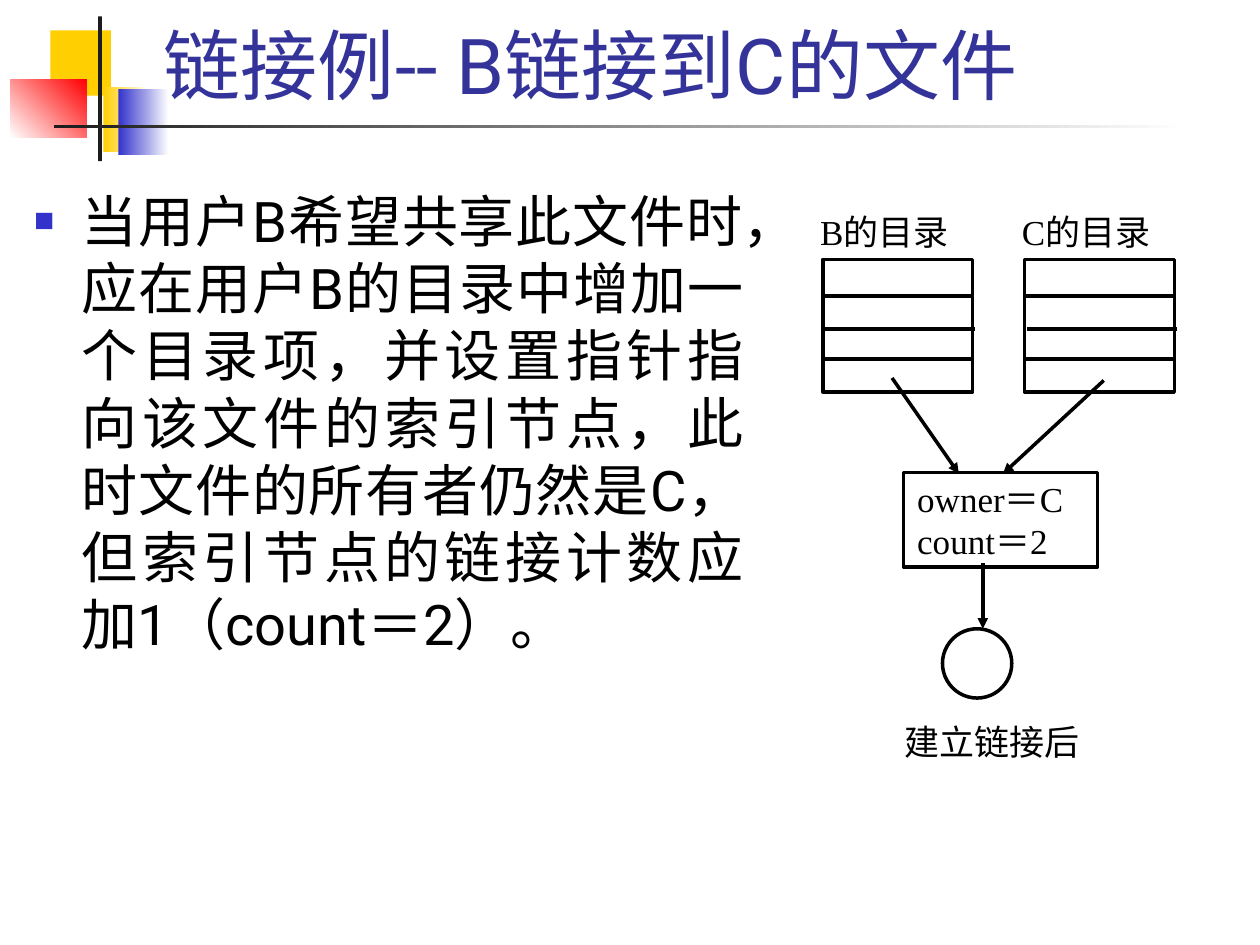
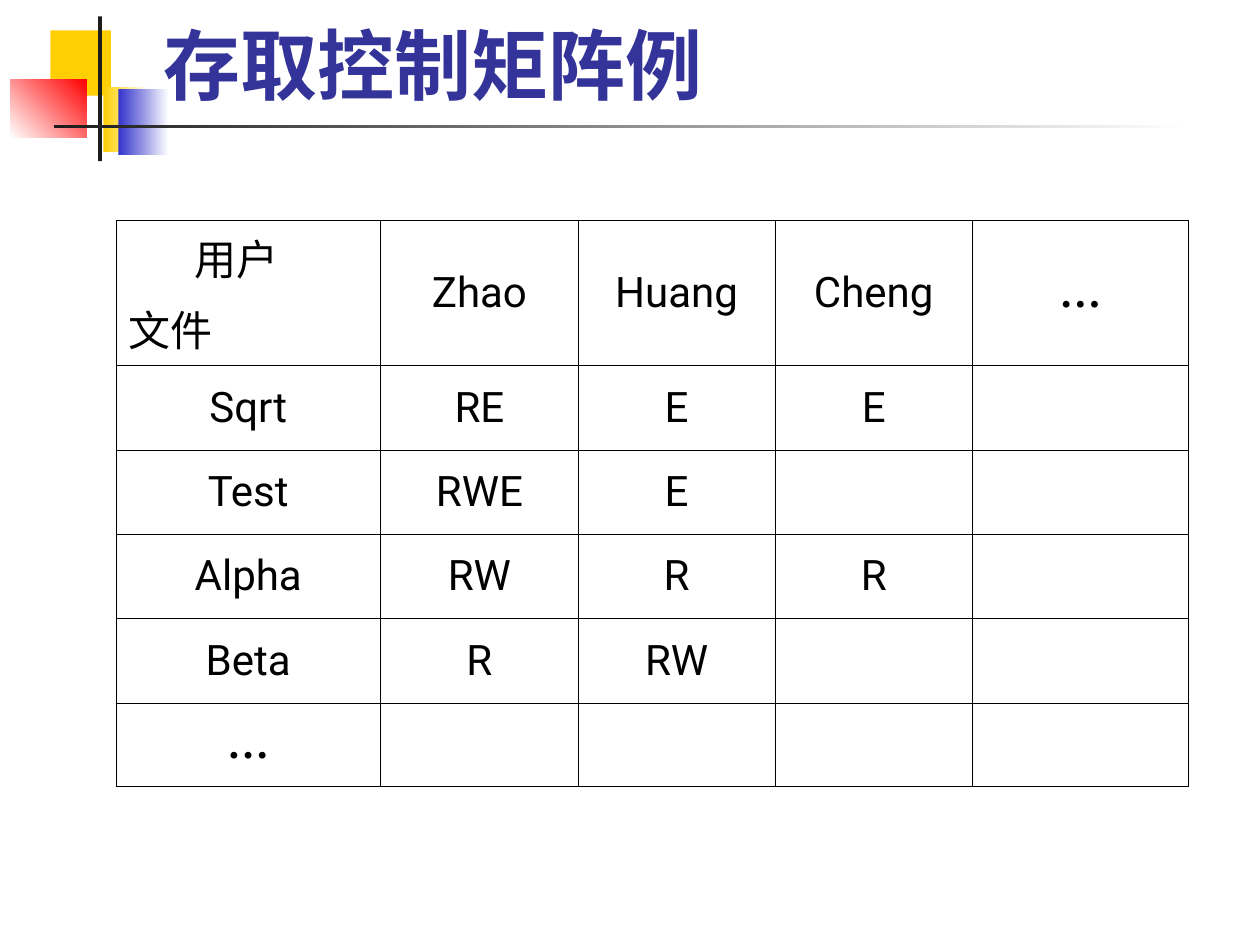
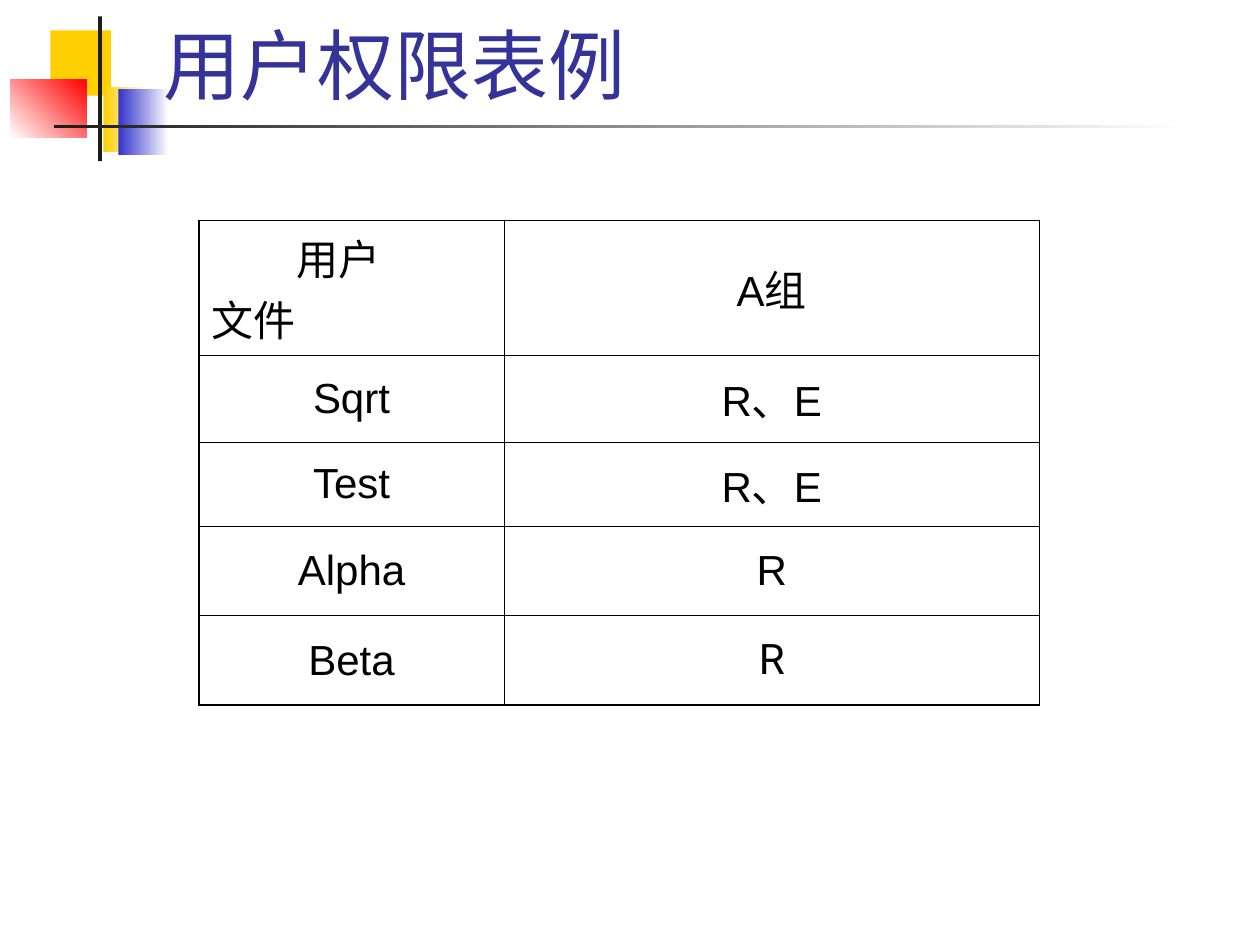
import lxml.etree
import pptx
import pptx.dml.color
import pptx.enum.shapes
import pptx.enum.text
import pptx.oxml.ns
import pptx.util

ALIGN = pptx.enum.text.PP_ALIGN
ANCHOR = pptx.enum.text.MSO_ANCHOR
SHAPE = pptx.enum.shapes.MSO_SHAPE
COLUMNS, ROWS = 10, 7.5
CELL = pptx.util.Inches(1)
BLACK, WHITE, INK, YELLOW, BLUE, RED = (
    "000000", "FFFFFF", "1C1C1C", "FFCF01", "3333CC", "FF0000")
TITLE_FONT = {"name": "Roboto", "size": 44, "color": "333399"}
BODY_FONT = {"name": "Roboto", "size": 32, "color": BLACK}
DIAGRAM_FONT = {"name": "Times New Roman", "size": 20, "color": BLACK}
ELLIPSIS_FONT = {"name": "Times New Roman", "bold": True}
LINE_WIDTH = 2
THIN, THICK = 0.45, 1.08


def grid(*counts):
    """Turn counts of grid columns or rows into lengths."""
    return [pptx.util.Emu(round(count * CELL)) for count in counts]


def color(value):
    return pptx.dml.color.RGBColor.from_string(value)


def apply(target, values):
    for name, value in values.items():
        setattr(target, name, value)


def add_xml(parent, tag, **attributes):
    return lxml.etree.SubElement(parent, pptx.oxml.ns.qn(tag), attributes)


def set_font(font, values):
    for name, value in values.items():
        if name == "color":
            font.color.rgb = color(value)
        else:
            setattr(font, name, pptx.util.Pt(value) if name == "size" else value)


def write(frame, lines, font, align=ALIGN.LEFT, gap=0):
    for number, line in enumerate(lines):
        para = frame.add_paragraph() if number else frame.paragraphs[0]
        apply(para, {"alignment": align,
                     "space_before": pptx.util.Pt(gap if number else 0)})
        span = para.add_run()
        span.text = line
        set_font(span.font, font)


def set_frame(frame, margins, anchor=ANCHOR.TOP):
    left, top, right, bottom = grid(*margins)
    apply(frame, {"margin_left": left, "margin_top": top, "margin_right": right,
                  "margin_bottom": bottom, "word_wrap": True,
                  "auto_size": pptx.enum.text.MSO_AUTO_SIZE.NONE,
                  "vertical_anchor": anchor})


def place(shape, *area):
    apply(shape, dict(zip(("left", "top", "width", "height"), grid(*area))))


def indent(para, left, first=0):
    properties = para._p.get_or_add_pPr()
    for name, value in zip(("marL", "indent"), grid(left, first)):
        properties.set(name, str(value))
    return properties


def add_decoration(page):
    """Draw the corner blocks and rules, then move them to the slide master."""
    blocks = [
        ((0.4, 0.24, 0.48, 0.52), (YELLOW,), 0),
        ((0.82, 0.69, 0.36, 0.52), (YELLOW, WHITE), 0),
        ((0.94, 0.71, 0.4, 0.52), (BLUE, WHITE), 0),
        ((0.08, 0.63, 0.61, 0.46), (WHITE, RED), 45),
        ((0.78, 0.13, 0.03, 1.15), (INK,), 0),
        ((0.43, 0.99, 9, 0.03), (INK, WHITE), 0),
    ]
    tree = page.slide_layout.slide_master.shapes.element
    for position, (area, colors, angle) in enumerate(blocks, start=2):
        block = page.shapes.add_shape(SHAPE.RECTANGLE, *grid(*area))
        block.shadow.inherit = False
        block.line.fill.background()
        if len(colors) == 1:
            block.fill.solid()
            block.fill.fore_color.rgb = color(colors[0])
        else:
            block.fill.gradient()
            block.fill.gradient_angle = angle
            for stop, value in zip(block.fill.gradient_stops, colors):
                stop.color.rgb = color(value)
        tree.insert(position, block.element)


def add_page(deck, layout, title, bold=False):
    page = deck.slides.add_slide(deck.slide_layouts.get_by_name(layout))
    box = page.shapes.title
    place(box, 1.2, 0.17, 8.52, 0.75)
    set_frame(box.text_frame, (0.1, 0.05, 0.1, 0.05), ANCHOR.BOTTOM)
    write(box.text_frame, [title], {**TITLE_FONT, "bold": bold})
    return page


def add_body(page, text):
    box = page.placeholders[1]
    place(box, 0.17, 1.43, 5.83, 4.5)
    set_frame(box.text_frame, (0.1, 0.05, 0.1, 0.05))
    properties = indent(box.text_frame.paragraphs[0], 0.38, -0.38)
    add_xml(add_xml(properties, "a:buClr"), "a:srgbClr", val=BLUE)
    add_xml(properties, "a:buSzPct", val="60000")
    add_xml(properties, "a:buFont", typeface="Arial")
    add_xml(properties, "a:buChar", char="■")
    write(box.text_frame, [text], BODY_FONT, ALIGN.JUSTIFY)


def add_outlined(page, kind, *area):
    shape = page.shapes.add_shape(kind, *grid(*area))
    shape.shadow.inherit = False
    shape.fill.solid()
    shape.fill.fore_color.rgb = color(WHITE)
    shape.line.color.rgb = color(BLACK)
    shape.line.width = pptx.util.Pt(LINE_WIDTH)
    return shape


def add_line(page, *ends, arrow=False):
    line = page.shapes.add_connector(
        pptx.enum.shapes.MSO_CONNECTOR.STRAIGHT, *grid(*ends))
    line.line.color.rgb = color(BLACK)
    line.line.width = pptx.util.Pt(LINE_WIDTH)
    if arrow:
        add_xml(line.element.spPr.get_or_add_ln(), "a:tailEnd", type="triangle")
    add_xml(line.element.spPr, "a:effectLst")


def add_label(page, text, *area):
    box = page.shapes.add_textbox(*grid(*area))
    set_frame(box.text_frame, (0, 0, 0, 0))
    write(box.text_frame, [text], DIAGRAM_FONT, ALIGN.JUSTIFY)


def add_directory(page, name, left):
    top, width = 2.06, 1.19
    add_outlined(page, SHAPE.RECTANGLE, left, top, width, 1.05)
    add_label(page, name, left - 0.02, 1.67, width, 0.32)
    for drop, shift in ((0.29, 0), (0.55, 0.02), (0.79, 0)):
        add_line(page, left + shift, top + drop, left + shift + width, top + drop)


def add_link_diagram(page):
    add_directory(page, "B的目录", 6.53)
    add_directory(page, "C的目录", 8.13)
    node = add_outlined(page, SHAPE.RECTANGLE, 7.17, 3.75, 1.54, 0.75)
    set_frame(node.text_frame, (0.11, 0.04, 0.04, 0))
    write(node.text_frame, ["owner＝C", "count＝2"], DIAGRAM_FONT, ALIGN.JUSTIFY)
    add_line(page, 7.08, 3, 7.61, 3.76, arrow=True)
    add_line(page, 8.76, 3.02, 7.96, 3.76, arrow=True)
    add_outlined(page, SHAPE.OVAL, 7.48, 4.99, 0.55, 0.55)
    add_label(page, "建立链接后", 7.18, 5.72, 1.62, 0.36)
    add_line(page, 7.8, 4.47, 7.8, 4.99, arrow=True)


def set_borders(cell, widths):
    """Draw the left, right, top and bottom borders, in that order."""
    properties = cell._tc.get_or_add_tcPr()
    for side, width in zip("LRTB", widths):
        line = add_xml(properties, f"a:ln{side}", w=str(pptx.util.Pt(width)))
        add_xml(add_xml(line, "a:solidFill"), "a:srgbClr", val=BLACK)
    cell.fill.background()


def add_matrix(page, left, widths, heights, texts, font, outer, corner):
    """Add a table; corner holds the indent and gap of its two-line first cell."""
    top = 1.75
    table = page.shapes.add_table(
        len(heights), len(widths),
        *grid(left, top, sum(widths), sum(heights))).table
    apply(table, {"first_row": False, "horz_banding": False})
    for column, width in zip(table.columns, grid(*widths)):
        column.width = width
    for row, height in zip(table.rows, grid(*heights)):
        row.height = height
    last_row, last_column = len(heights) - 1, len(widths) - 1
    for r, line in enumerate(texts):
        for c, text in enumerate(line):
            cell = table.cell(r, c)
            on_edge = (c == 0, c == last_column, r == 0, r == last_row)
            set_borders(cell, [outer if edge else THIN for edge in on_edge])
            is_corner = r == c == 0
            cell.vertical_anchor = ANCHOR.TOP if is_corner else ANCHOR.MIDDLE
            special = ELLIPSIS_FONT if text == "…" else {}
            if text:
                write(cell.text_frame, text.split("\n"), {**font, **special},
                      ALIGN.LEFT if is_corner else ALIGN.CENTER, corner[1])
    indent(table.cell(0, 0).text_frame.paragraphs[0], corner[0])
    return table


def main():
    deck = pptx.Presentation()
    deck.slide_width, deck.slide_height = grid(COLUMNS, ROWS)

    page = add_page(deck, "Title and Content", "链接例-- B链接到C的文件")
    add_decoration(page)
    add_body(page, "当用户B希望共享此文件时，应在用户B的目录中增加一个目录项，"
                   "并设置指针指向该文件的索引节点，此时文件的所有者仍然是C，"
                   "但索引节点的链接计数应加1（count＝2）。")
    add_link_diagram(page)

    table_font = {"name": "Roboto", "size": 24, "color": BLACK}
    page = add_page(deck, "Title Only", "存取控制矩阵例", bold=True)
    add_matrix(page, 0.92, [2.1, 1.57, 1.56, 1.57, 1.71],
               [0.99] + [0.67] * 4 + [0.66],
               [["用户\n文件", "Zhao", "Huang", "Cheng", "…"],
                ["Sqrt", "RE", "E", "E", ""],
                ["Test", "RWE", "E", "", ""],
                ["Alpha", "RW", "R", "R", ""],
                ["Beta", "R", "RW", "", ""],
                ["…", "", "", "", ""]],
               table_font, outer=THIN, corner=(0.52, 6))

    page = add_page(deck, "Title Only", "用户权限表例")
    rights = add_matrix(page, 1.58, [2.42, 4.25], [0.9, 0.69, 0.67, 0.71, 0.71],
                        [["用户\n文件", "A组"], ["Sqrt", "R、E"], ["Test", "R、E"],
                         ["Alpha", "R"], ["Beta", "R"]],
                        {**table_font, "name": "Arial"}, outer=THICK,
                        corner=(0.67, 0))
    beta_rights = rights.cell(4, 1).text_frame.paragraphs[0].runs[0]
    beta_rights.font.name = "Roboto"

    deck.save("out.pptx")


if __name__ == "__main__":
    main()
